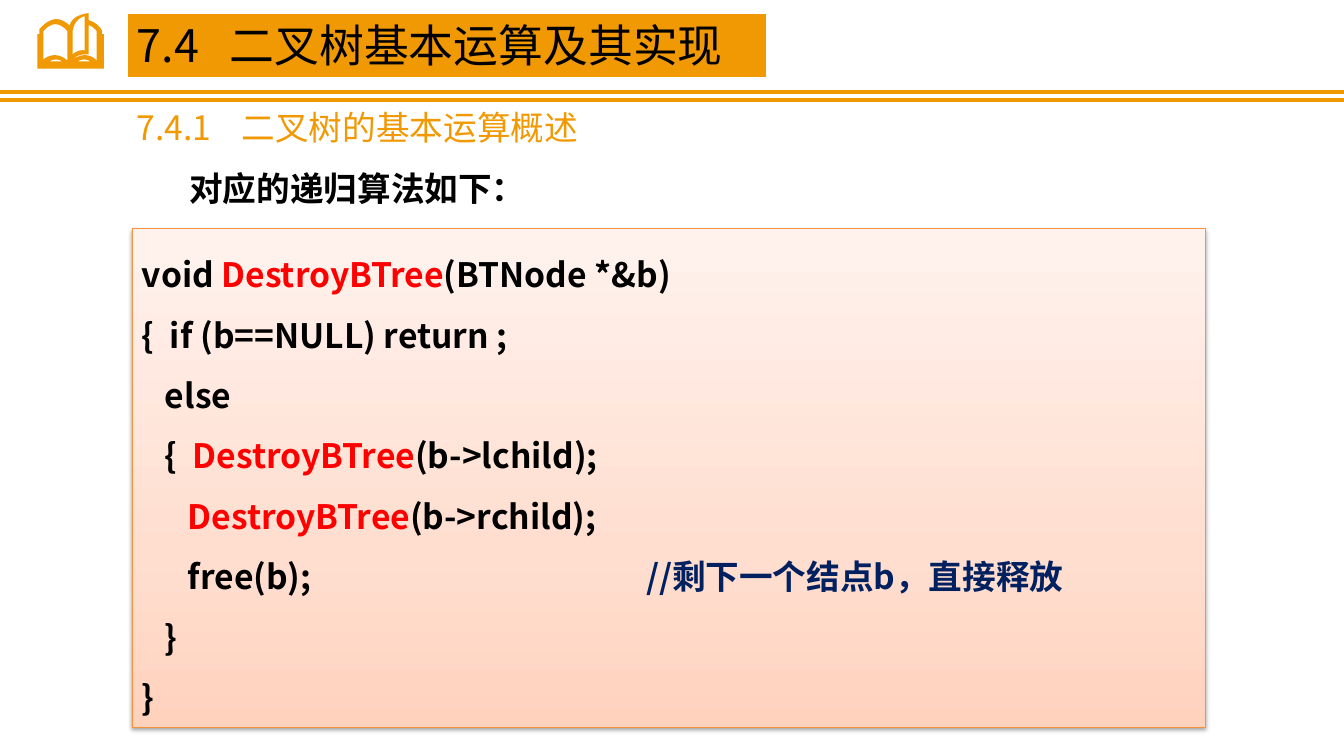
"""Slide on the recursive DestroyBTree algorithm for binary trees."""
from lxml import etree
from pptx import Presentation
from pptx import util as u
from pptx.dml.color import RGBColor
from pptx.enum import shapes, text
from pptx.oxml import parse_xml

ORANGE = RGBColor(0xF1, 0x99, 0x03)
BORDER = RGBColor(0xF6, 0x92, 0x40)
PEACH = RGBColor(0xFF, 0xD2, 0xBD)
LIGHT_PEACH = RGBColor(0xFF, 0xDE, 0xD0)
PALE_PEACH = RGBColor(0xFF, 0xF2, 0xED)
WHITE = RGBColor(0xFF, 0xFF, 0xFF)
BLACK = RGBColor(0, 0, 0)
RED = RGBColor(0xFF, 0, 0)
NAVY = RGBColor(0, 0x20, 0x60)
FONT = "Noto Sans CJK SC"
NS = "http://schemas.openxmlformats.org/drawingml/2006/main"
A = f"{{{NS}}}"
SLIDE_WIDTH = 13.33
BOOK_UNITS_PER_INCH = 1000
CURVE_STEPS = 12


def write(box, lines, size, bold=False, spacing=1.0, tab=None):
    frame = box.text_frame
    frame.word_wrap = True
    frame.auto_size = text.MSO_AUTO_SIZE.SHAPE_TO_FIT_TEXT
    frame.vertical_anchor = text.MSO_ANCHOR.TOP
    for number, line in enumerate(lines):
        paragraph = frame.add_paragraph() if number else frame.paragraphs[0]
        paragraph.alignment = text.PP_ALIGN.LEFT
        paragraph.line_spacing = spacing
        if tab:
            tab_list = etree.SubElement(paragraph._p.get_or_add_pPr(), A + "tabLst")
            etree.SubElement(tab_list, A + "tab", pos=str(u.Inches(tab)), algn="l")
        for words, color in line:
            run = paragraph.add_run()
            run.text = words
            run.font.size = u.Pt(size)
            run.font.bold = bold
            run.font.color.rgb = color
            run.font.name = FONT
            etree.SubElement(run.font._rPr, A + "ea", typeface=FONT)


def curve(start, control, end):
    return [tuple((1 - t) ** 2 * s + 2 * t * (1 - t) * c + t ** 2 * e
                  for s, c, e in zip(start, control, end))
            for t in (step / CURVE_STEPS for step in range(CURVE_STEPS + 1))]


deck = Presentation()
deck.slide_width, deck.slide_height = u.Inches(SLIDE_WIDTH), u.Inches(7.5)
slide = deck.slides.add_slide(deck.slide_layouts[6])

for rule_y in (0.91, 0.99):
    header_rule = slide.shapes.add_connector(
        shapes.MSO_CONNECTOR.STRAIGHT, 0, u.Inches(rule_y),
        u.Inches(SLIDE_WIDTH), u.Inches(rule_y))
    header_rule.line.color.rgb = ORANGE
    header_rule.line.width = u.Pt(3)
    etree.SubElement(header_rule._element.spPr, A + "effectLst")

cover = [(390, 340), (370, 340), (370, 680), (1030, 680), (1030, 340), (1010, 340),
         *curve((1010, 300), (970, 230), (880, 200)),
         *curve((880, 130), (720, 150), (690, 255)),
         *curve((690, 255), (550, 110), (390, 290))]
left_page = (curve((430, 310), (550, 170), (670, 310))
             + curve((670, 600), (550, 500), (430, 590)))
turning_leaf = (curve((720, 310), (740, 190), (840, 160))
                + curve((840, 500), (780, 490), (720, 540)))
right_page = (curve((880, 250), (920, 260), (960, 310))
              + curve((960, 600), (860, 500), (720, 590))
              + curve((720, 590), (780, 530), (880, 540)))
page_edges = [curve((left, 610), (left + 65, 570), (left + 130, 610)) for left in (490, 770)]

book_pen = slide.shapes.build_freeform(*cover[0], scale=u.Inches(1) / BOOK_UNITS_PER_INCH)
book_pen.add_line_segments(cover[1:], close=True)
for opening in (left_page, turning_leaf, right_page, *page_edges):
    book_pen.move_to(*opening[0])
    book_pen.add_line_segments(opening[1:], close=True)
book = book_pen.convert_to_shape()
book.fill.solid()
book.fill.fore_color.rgb = ORANGE
book.line.fill.background()
book.shadow.inherit = False

code_panel = slide.shapes.add_shape(shapes.MSO_SHAPE.RECTANGLE, u.Inches(1.31), u.Inches(2.27),
                                    u.Inches(10.65), u.Inches(4.95))
code_panel.line.color.rgb = BORDER
code_panel.line.width = u.Pt(0.75)
code_panel.shadow.inherit = False
gradient_stops = "".join(
    f'<a:gs pos="{percent * 1000}"><a:srgbClr val="{color}"/></a:gs>'
    for percent, color in ((0, PEACH), (35, LIGHT_PEACH), (100, PALE_PEACH)))
panel_properties = code_panel._element.spPr
panel_properties.find(A + "prstGeom").addnext(parse_xml(
    f'<a:gradFill xmlns:a="{NS}" rotWithShape="1"><a:gsLst>{gradient_stops}</a:gsLst>'
    '<a:lin ang="16200000" scaled="0"/></a:gradFill>'))
panel_properties.find(A + "effectLst").append(parse_xml(
    f'<a:outerShdw xmlns:a="{NS}" blurRad="{u.Pt(3.1)}" dist="{u.Pt(1.6)}" dir="5400000" '
    f'rotWithShape="0"><a:srgbClr val="{BLACK}"><a:alpha val="38000"/></a:srgbClr>'
    '</a:outerShdw>'))

FUNCTION = "DestroyBTree"
listing = """void DestroyBTree(BTNode *&b)
{  if (b==NULL) return ;
   else
   {  DestroyBTree(b->lchild);
      DestroyBTree(b->rchild);
      free(b);\t//剩下一个结点b，直接释放
   }
}"""
code_lines = []
for source_line in listing.split("\n"):
    statement, slashes, remark = source_line.partition("//")
    before, function, after = statement.partition(FUNCTION)
    pieces = [(before, BLACK), (function, RED), (after, BLACK), (slashes + remark, NAVY)]
    code_lines.append([piece for piece in pieces if piece[0]])
write(code_panel, code_lines, 24, bold=True, spacing=1.5, tab=5)

intro = slide.shapes.add_textbox(u.Inches(1.78), u.Inches(1.62), u.Inches(5.52), u.Inches(0.5))
write(intro, [[("对应的递归算法如下：", BLACK)]], 24, bold=True)

title = slide.shapes.add_shape(shapes.MSO_SHAPE.RECTANGLE, u.Inches(1.26), u.Inches(0.13),
                               u.Inches(6.34), u.Inches(0.64))
title.fill.solid()
title.fill.fore_color.rgb = ORANGE
title.line.color.rgb = WHITE
title.line.width = u.Pt(0.75)
title.shadow.inherit = False
write(title, [[("7.4\t二叉树基本运算及其实现", BLACK)]], 32, tab=0.92)
title.text_frame.paragraphs[0].runs[0].font._rPr.insert(0, parse_xml(
    f'<a:ln xmlns:a="{NS}" w="{u.Pt(0.9)}"><a:solidFill><a:srgbClr val="{WHITE}"/>'
    '</a:solidFill></a:ln>'))

section = slide.shapes.add_textbox(u.Inches(1.26), u.Inches(1.01), u.Inches(6.33), u.Inches(0.5))
write(section, [[("7.4.1\t二叉树的基本运算概述", ORANGE)]], 24, tab=1.04)

deck.save("out.pptx")
